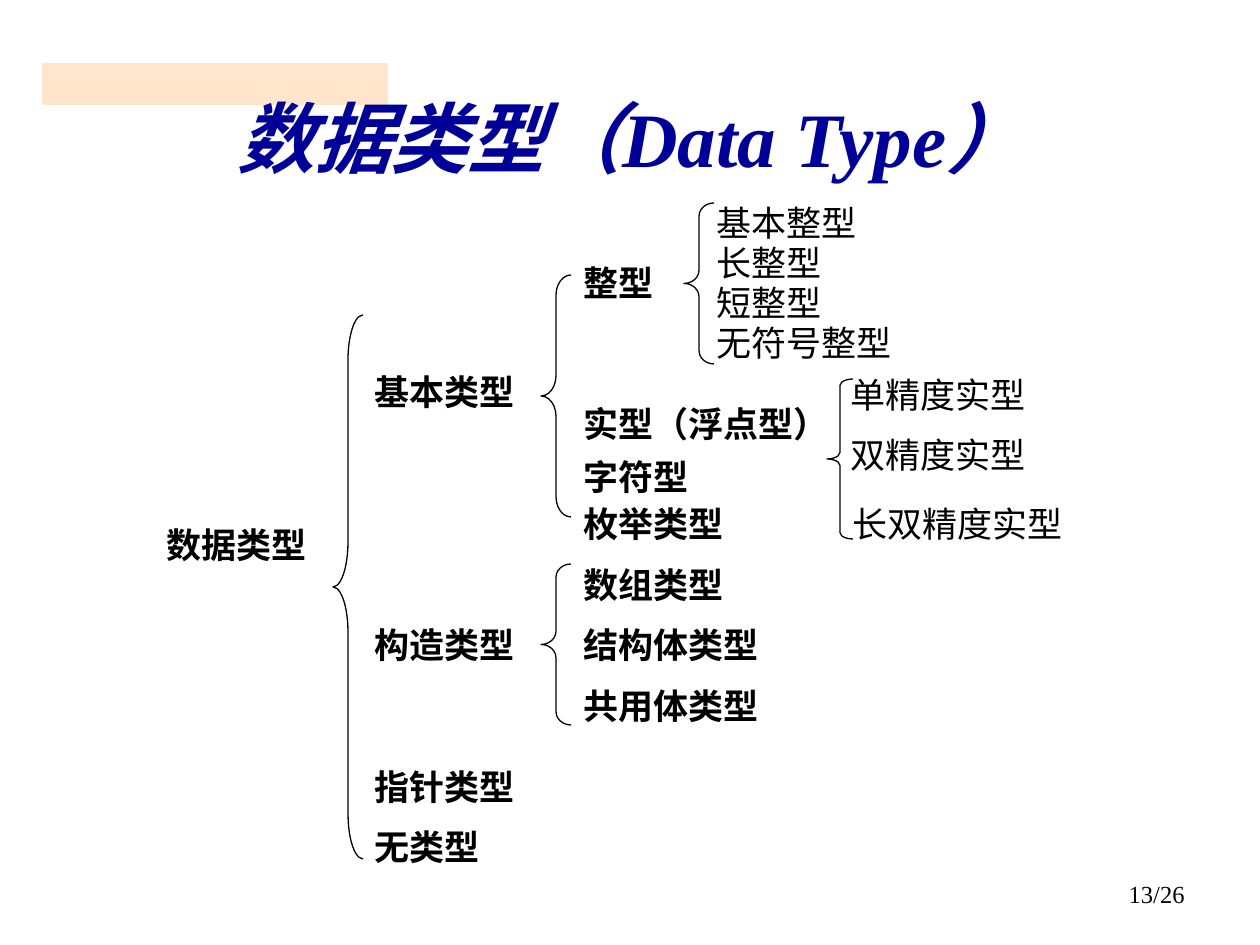
from typing import NamedTuple

from lxml import etree
from pptx import Presentation
from pptx import util as u
from pptx.dml.color import RGBColor
from pptx.enum import shapes, text
from pptx.oxml.ns import qn

PX = 914400 / 126
NAVY = RGBColor(0x00, 0x00, 0x99)
BLACK = RGBColor(0x00, 0x00, 0x00)
PEACH = RGBColor(0xFF, 0xCC, 0x99)
FONT = "Times New Roman"
LABEL_HEIGHT = 60


class Area(NamedTuple):
    left: int
    top: int
    width: int
    height: int


class Column(NamedTuple):
    left: int
    bold: bool
    labels: list[tuple[str, int, int]]


class Brace(NamedTuple):
    area: Area
    curve: float


BAND = Area(42, 63, 346, 42)
TITLE = Area(93, 86, 1075, 116)
NUMBER = Area(903, 873, 294, 66)

INTEGERS = ["基本整型", "长整型", "短整型", "无符号整型"]
COLUMNS = [
    Column(154, True, [("数据类型", 517, 208)]),
    Column(362, True, [
        ("基本类型", 364, 208),
        ("构造类型", 617, 208),
        ("指针类型", 759, 208),
        ("无类型", 819, 208),
    ]),
    Column(571, True, [
        ("整型", 255, 208),
        ("实型（浮点型）", 396, 297),
        ("字符型", 449, 208),
        ("枚举类型", 496, 208),
        ("数组类型", 557, 208),
        ("结构体类型", 617, 238),
        ("共用体类型", 678, 268),
    ]),
    Column(838, False, [("单精度实型", 367, 268), ("双精度实型", 427, 268)]),
    Column(704, False, [(name, 195 + 40 * row, 297) for row, name in enumerate(INTEGERS)]),
    Column(840, False, [("长双精度实型", 496, 268)]),
]
BRACES = [
    Brace(Area(333, 315, 30, 544), 1.5),
    Brace(Area(541, 275, 30, 242), 0.67),
    Brace(Area(684, 203, 30, 161), 0.44),
    Brace(Area(827, 379, 26, 160), 0.25),
    Brace(Area(541, 564, 30, 161), 0.44),
]


def scale(area: Area) -> list[u.Emu]:
    """Turn an area in px into EMU lengths."""
    return [u.Emu(round(length * PX)) for length in area]


def write(box, words: str, align, color: RGBColor, **font):
    """Put one formatted paragraph into a box and return its span."""
    frame = box.text_frame
    frame.word_wrap = True
    para = frame.paragraphs[0]
    para.alignment = align
    span = para.add_run()
    span.text = words
    span.font.color.rgb = color
    for name, value in {"name": FONT, **font}.items():
        setattr(span.font, name, value)
    return span


def add_label(page, area: Area, words: str, align, size: int, bold: bool) -> None:
    """Add a black text box."""
    box = page.shapes.add_textbox(*scale(area))
    write(box, words, align, BLACK, size=u.Pt(size), bold=bold)


def add_band(page, area: Area) -> None:
    """Add the half-transparent band behind the title."""
    band = page.shapes.add_shape(shapes.MSO_SHAPE.RECTANGLE, *scale(area))
    band.shadow.inherit = False
    band.fill.solid()
    band.fill.fore_color.rgb = PEACH
    band.line.fill.background()
    color = band.fill._xPr.find(qn("a:solidFill"))[0]
    etree.SubElement(color, qn("a:alpha"), val="50000")
    page.shapes._spTree.insert(2, band._element)


def add_brace(page, brace: Brace) -> None:
    """Add a thin left brace."""
    shape = page.shapes.add_shape(shapes.MSO_SHAPE.LEFT_BRACE, *scale(brace.area))
    shape.adjustments[0] = brace.curve
    shape.shadow.inherit = False
    shape.fill.background()
    shape.line.color.rgb = BLACK
    shape.line.width = u.Pt(0.75)


def set_title(page, area: Area) -> None:
    """Place the title and give its text a shadow."""
    title = page.shapes.title
    for name, value in zip(("left", "top", "width", "height"), scale(area)):
        setattr(title, name, value)
    frame = title.text_frame
    frame.auto_size = text.MSO_AUTO_SIZE.NONE
    frame.vertical_anchor = text.MSO_ANCHOR.MIDDLE
    span = write(title, "数据类型（Data Type）", text.PP_ALIGN.CENTER, NAVY,
                 size=u.Pt(44), bold=True, italic=True)
    frame.paragraphs[0].line_spacing = 0.85
    effects = etree.Element(qn("a:effectLst"))
    shadow = etree.SubElement(effects, qn("a:outerShdw"), dist="25400", dir="2700000")
    etree.SubElement(shadow, qn("a:srgbClr"), val=str(BLACK))
    span.font._element.find(qn("a:solidFill")).addnext(effects)


def main() -> None:
    """Build the data type slide."""
    deck = Presentation()
    deck.slide_width, deck.slide_height = u.Inches(10), u.Inches(7.5)
    page = deck.slides.add_slide(deck.slide_layouts[5])
    add_band(page, BAND)
    set_title(page, TITLE)
    for column in COLUMNS:
        for words, top, width in column.labels:
            area = Area(column.left, top, width, LABEL_HEIGHT)
            add_label(page, area, words, text.PP_ALIGN.JUSTIFY, 20, column.bold)
    for brace in BRACES:
        add_brace(page, brace)
    add_label(page, NUMBER, "13/26", text.PP_ALIGN.RIGHT, 14, False)
    deck.save("out.pptx")


if __name__ == "__main__":
    main()
